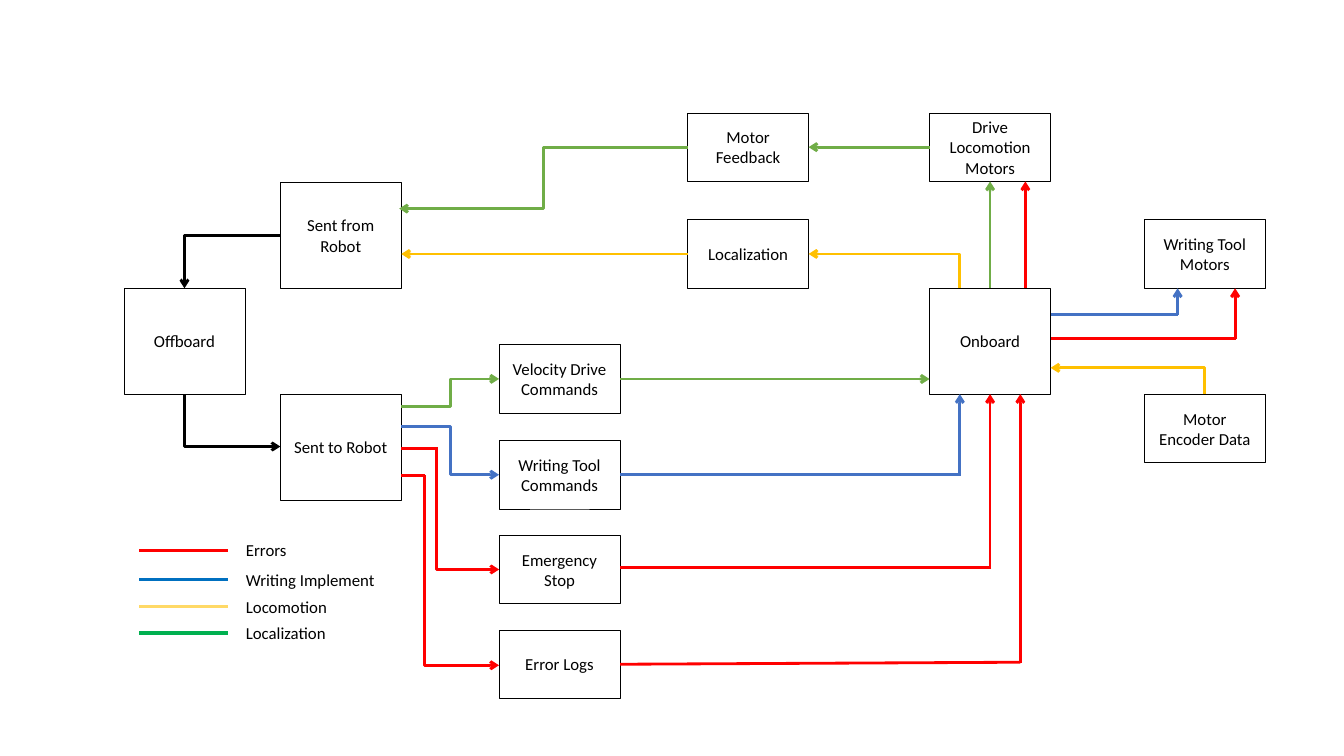
import lxml.etree
import pptx
import pptx.dml.color
import pptx.enum.shapes
import pptx.enum.text
import pptx.oxml.ns
import pptx.util

Inches = pptx.util.Inches
RGBColor = pptx.dml.color.RGBColor
qn = pptx.oxml.ns.qn

BLACK = RGBColor(0x00, 0x00, 0x00)
RED = RGBColor(0xFF, 0x00, 0x00)
GREEN = RGBColor(0x70, 0xAD, 0x47)
BLUE = RGBColor(0x44, 0x72, 0xC4)
AMBER = RGBColor(0xFF, 0xC0, 0x00)
KEY_BLUE = RGBColor(0x00, 0x70, 0xC0)
KEY_YELLOW = RGBColor(0xFF, 0xD9, 0x66)
KEY_GREEN = RGBColor(0x00, 0xB0, 0x50)

TOP, BOTTOM, RIGHT, LEFT = 0, 2, 3, 1
BOX_WIDTH, TALL, SHORT = 1.2, 1.05, 0.68


def write(shape, text, size=12, align=None, anchor=None, wrap=True):
    frame = shape.text_frame
    frame.word_wrap = wrap
    frame.vertical_anchor = anchor
    paragraph = frame.paragraphs[0]
    paragraph.alignment = align
    run = paragraph.add_run()
    run.text = text
    run.font.name = "Calibri"
    run.font.size = pptx.util.Pt(size)
    run.font.color.rgb = BLACK


def link(shapes, start, end, colour, kind="straight", arrow=True, width=2):
    """kind: straight, step (three legs), across (sideways first), upright (vertical first)."""
    if kind == "upright":
        # Turn both ends about the centre; the rotation below turns them back
        centre_x, centre_y = (start[0] + end[0]) / 2, (start[1] + end[1]) / 2
        start, end = [(centre_x + centre_y - y, centre_y + x - centre_x) for x, y in (start, end)]
    types = pptx.enum.shapes.MSO_CONNECTOR
    connector = shapes.add_connector(
        types.STRAIGHT if kind == "straight" else types.ELBOW,
        *[Inches(value) for value in start + end])
    connector.line.color.rgb = colour
    connector.line.width = pptx.util.Pt(width)
    properties = connector._element.spPr
    if kind in ("across", "upright"):
        properties.find(qn("a:prstGeom")).set("prst", "bentConnector2")
    if kind == "upright":
        properties.find(qn("a:xfrm")).set("rot", str(270 * 60000))
    if arrow:
        lxml.etree.SubElement(properties.find(qn("a:ln")), qn("a:tailEnd"), type="arrow")
    lxml.etree.SubElement(properties, qn("a:effectLst"))
    return connector


presentation = pptx.Presentation()
presentation.slide_width = Inches(13.33)
presentation.slide_height = Inches(7.5)
slide = presentation.slides.add_slide(presentation.slide_layouts[6])

# Boxes: text, left, top, height
boxes = {}
for text, left, top, height in [
    ("Offboard", 1.23, 2.86, TALL),
    ("Onboard", 9.22, 2.86, TALL),
    ("Sent from Robot", 2.78, 1.81, TALL),
    ("Sent to Robot", 2.78, 3.91, TALL),
    ("Velocity Drive Commands", 4.95, 3.42, SHORT),
    ("Writing Tool Commands", 4.95, 4.37, SHORT),
    ("Emergency Stop", 4.95, 5.31, SHORT),
    ("Error Logs", 4.95, 6.25, SHORT),
    ("Localization", 6.82, 2.18, SHORT),
    ("Motor Feedback", 6.82, 1.12, SHORT),
    ("Writing Tool Motors", 11.35, 2.18, SHORT),
    ("Motor Encoder Data", 11.35, 3.91, SHORT),
    ("Drive Locomotion Motors", 9.22, 1.12, SHORT),
]:
    box = slide.shapes.add_shape(
        pptx.enum.shapes.MSO_SHAPE.RECTANGLE,
        Inches(left), Inches(top), Inches(BOX_WIDTH), Inches(height))
    box.shadow.inherit = False
    box.fill.background()
    box.line.color.rgb = BLACK
    box.line.width = pptx.util.Pt(0.5)
    write(box, text, align=pptx.enum.text.PP_ALIGN.CENTER,
          anchor=pptx.enum.text.MSO_ANCHOR.MIDDLE)
    boxes[text] = box

# Bent arrows
for start, end, colour, kind in [
    ((2.78, 2.34), (1.83, 2.86), BLACK, "across"),
    ((1.83, 3.91), (2.78, 4.43), BLACK, "upright"),
    ((3.98, 4.03), (4.95, 3.76), GREEN, "step"),
    ((3.98, 4.23), (4.95, 4.71), BLUE, "step"),
    ((4.33, 4.45), (4.95, 5.65), RED, "upright"),
    ((4.21, 4.71), (4.95, 6.6), RED, "upright"),
    ((11.95, 3.91), (10.42, 3.65), AMBER, "upright"),
    ((6.82, 1.46), (3.96, 2.07), GREEN, "step"),
    ((9.52, 2.86), (8.02, 2.52), AMBER, "upright"),
]:
    link(slide.shapes, start, end, colour, kind)

# Straight lines: start, end, colour, arrow, box joined at start, box joined at end
for start, end, colour, arrow, begin_join, end_join in [
    ((4.34, 4.45), (3.98, 4.45), RED, False, None, None),
    ((4.22, 4.72), (3.98, 4.72), RED, False, None, None),
    ((6.15, 3.76), (9.22, 3.76), GREEN, True, ("Velocity Drive Commands", RIGHT), None),
    ((9.53, 4.71), (6.15, 4.71), BLUE, False, None, ("Writing Tool Commands", RIGHT)),
    ((9.83, 5.63), (6.15, 5.63), RED, False, None, None),
    ((10.12, 6.57), (6.15, 6.59), RED, False, None, ("Error Logs", RIGHT)),
    ((9.52, 4.71), (9.52, 3.91), BLUE, True, None, None),
    ((9.82, 5.64), (9.82, 3.91), RED, True, None, ("Onboard", BOTTOM)),
    ((10.12, 6.58), (10.12, 3.91), RED, True, None, None),
    ((12.26, 3.36), (10.42, 3.36), RED, False, None, None),
    ((11.68, 3.12), (10.42, 3.12), BLUE, False, None, None),
    ((11.68, 3.13), (11.68, 2.86), BLUE, True, None, None),
    ((12.25, 3.36), (12.25, 2.86), RED, True, None, None),
    ((6.82, 2.52), (3.98, 2.52), AMBER, True, ("Localization", LEFT), None),
    ((9.82, 2.86), (9.82, 1.8), GREEN, True,
     ("Onboard", TOP), ("Drive Locomotion Motors", BOTTOM)),
    ((10.17, 2.86), (10.17, 1.8), RED, True, None, None),
    ((9.22, 1.46), (8.02, 1.46), GREEN, True,
     ("Drive Locomotion Motors", LEFT), ("Motor Feedback", RIGHT)),
]:
    connector = link(slide.shapes, start, end, colour, arrow=arrow)
    if begin_join:
        connector.begin_connect(boxes[begin_join[0]], begin_join[1])
    if end_join:
        connector.end_connect(boxes[end_join[0]], end_join[1])

# Legend
legend = slide.shapes.add_group_shape()
for text, middle, width, colour in [
    ("Errors", 5.46, 0.61, RED),
    ("Writing Implement", 5.75, 1.49, KEY_BLUE),
    ("Locomotion", 6.02, 1.02, KEY_YELLOW),
    ("Localization", 6.28, 1.0, KEY_GREEN),
]:
    link(legend.shapes, (1.38, middle), (2.26, middle), colour, arrow=False, width=2.25)
    label = legend.shapes.add_textbox(
        Inches(2.34), Inches(middle - 0.15), Inches(width), Inches(0.3))
    write(label, text, wrap=False)
    label.text_frame.auto_size = pptx.enum.text.MSO_AUTO_SIZE.SHAPE_TO_FIT_TEXT

presentation.save("out.pptx")
